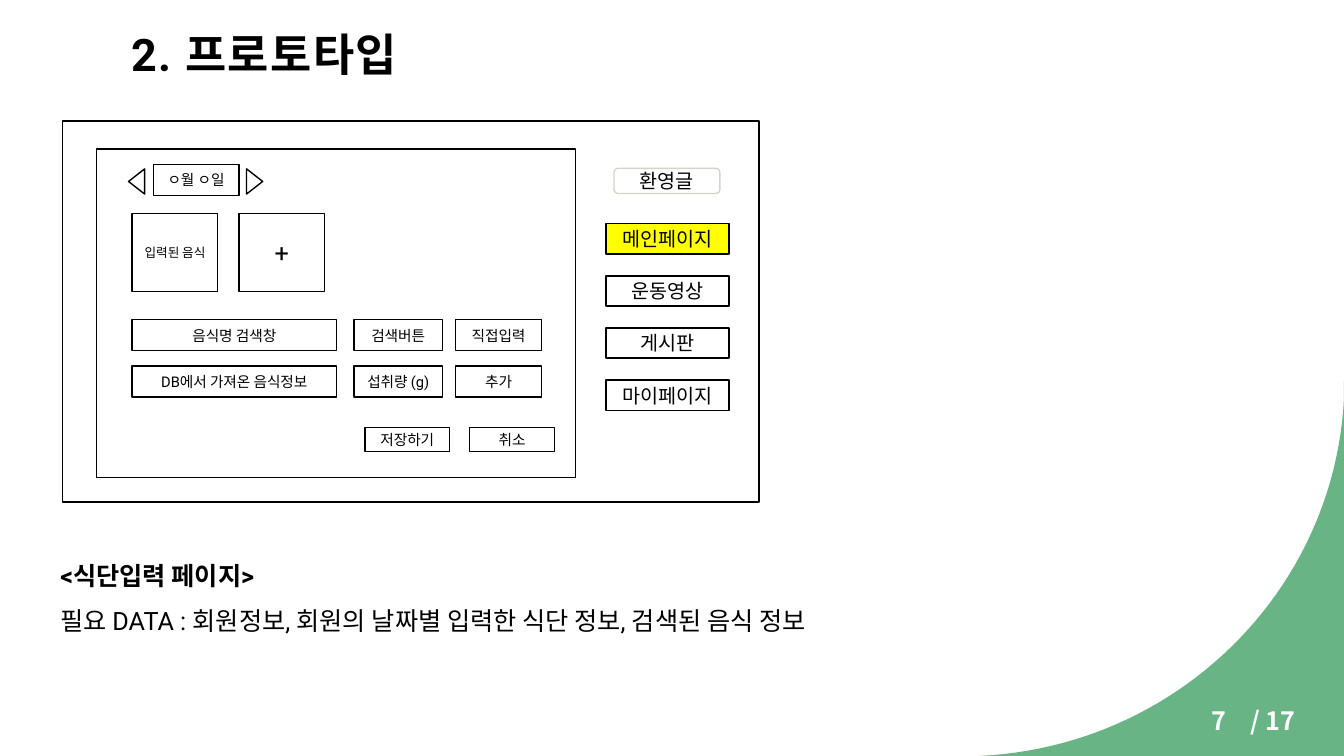
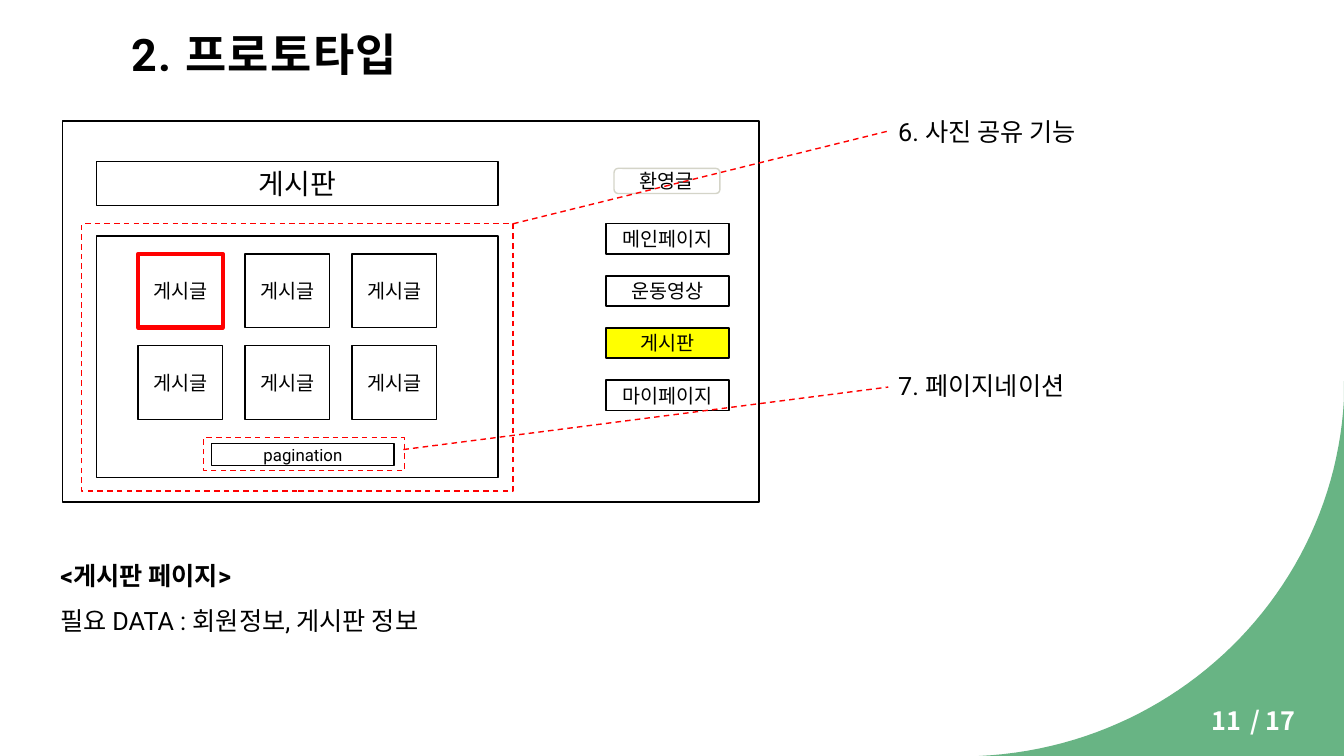
from dataclasses import dataclass

from lxml.etree import SubElement
from pptx import Presentation
from pptx.dml.color import RGBColor
from pptx.enum.dml import MSO_LINE
from pptx.enum.shapes import MSO_CONNECTOR, MSO_SHAPE
from pptx.enum.text import MSO_ANCHOR, MSO_AUTO_SIZE, PP_ALIGN
from pptx.oxml.ns import qn
from pptx.util import Inches, Pt


@dataclass(frozen=True)
class Theme:
    """Colours, fonts and type sizes of the deck."""
    black: RGBColor = RGBColor(0x00, 0x00, 0x00)
    white: RGBColor = RGBColor(0xFF, 0xFF, 0xFF)
    green: RGBColor = RGBColor(0x68, 0xB4, 0x84)
    yellow: RGBColor = RGBColor(0xFF, 0xFF, 0x00)
    red: RGBColor = RGBColor(0xFF, 0x00, 0x00)
    grey: RGBColor = RGBColor(0xD4, 0xD4, 0xC8)
    latin: str = "Roboto"
    korean: str = "Noto Sans CJK KR"
    title: float = 32
    heading: float = 20
    body: float = 18
    menu: float = 14
    label: float = 12
    field: float = 10.5
    small: float = 9


class Deck:
    """Holds the style and the current slide, and draws each kind of element."""

    MENU = ("메인페이지", "운동영상", "게시판", "마이페이지")

    def __init__(self, prs, theme):
        """Set the slide size and keep the theme."""
        self.prs, self.theme, self.s = prs, theme, None
        prs.slide_width, prs.slide_height = Inches(13.33), Inches(7.5)

    def new_slide(self, title, number):
        """Start a slide with its title, corner and page number."""
        t = self.theme
        self.s = self.prs.slides.add_slide(self.prs.slide_layouts[5])
        self.corner()
        self.text("/ 17", 12.3, 6.95, 1.03, bold=True, color=t.white, font=t.korean)
        self.text(str(number), 11.92, 6.95, 1.15, bold=True, color=t.white, font=t.korean)
        sp = self.s.shapes.title
        sp.left, sp.top, sp.width, sp.height = map(Inches, (1.18, 0.24, 10.88, 0.66))
        tf = sp.text_frame
        tf.auto_size, tf.vertical_anchor = MSO_AUTO_SIZE.NONE, MSO_ANCHOR.BOTTOM
        tf.margin_left = tf.margin_right = tf.margin_top = Inches(0.12)
        tf.margin_bottom = Inches(0.1)
        p = tf.paragraphs[0]
        p.text, p.alignment, p.line_spacing = title, PP_ALIGN.LEFT, 1.1
        self.style(p, t.title, bold=True).set("spc", "100")

    def corner(self):
        """Draw the green corner with its curved edge."""
        curve = ((9.71, 7.5), (11.67, 7.41), (13.23, 5.87), (13.33, 3.96))
        points = [(13.33, 7.5), (9.63, 7.5)]
        steps = 48
        for i in range(steps + 1):
            u = i / steps
            weights = ((1 - u) ** 3, 3 * u * (1 - u) ** 2, 3 * u * u * (1 - u), u ** 3)
            points.append([sum(w * c[k] for w, c in zip(weights, curve)) for k in (0, 1)])
        fb = self.s.shapes.build_freeform(Inches(13.33), Inches(3.78))
        fb.add_line_segments([(Inches(x), Inches(y)) for x, y in points])
        sp = fb.convert_to_shape()
        sp.shadow.inherit = False
        sp.fill.solid()
        sp.fill.fore_color.rgb = self.theme.green
        sp.line.fill.background()

    def style(self, p, size, bold=False, color=None, font=None):
        """Format a paragraph and return its character properties."""
        f = p.font
        f.size, f.bold, f.name = Pt(size), bold, font or self.theme.latin
        f.color.rgb = color or self.theme.black
        props = p._p.pPr.find(qn("a:defRPr"))
        SubElement(props, qn("a:ea")).set("typeface", self.theme.korean)
        return props

    def text(self, text, x, y, w, h=0.4, bold=False, color=None, font=None):
        """Add a one-line text box."""
        tf = self.s.shapes.add_textbox(*map(Inches, (x, y, w, h))).text_frame
        tf.word_wrap = True
        p = tf.paragraphs[0]
        p.text = text
        self.style(p, self.theme.body, bold, color, font)
        return tf

    def caption(self, heading, data):
        """Add the page name and the data it needs."""
        tf = self.text(heading, 0.5, 5.36, 9.18, 0.96, bold=True)
        p = tf.add_paragraph()
        p.text = data
        self.style(p, self.theme.body)
        for p in tf.paragraphs:
            p.line_spacing = 1.5

    def box(self, x, y, w, h, text="", size=None, font=None, fill=None,
            line=None, weight=1, shape=MSO_SHAPE.RECTANGLE, rotation=0):
        """Add an outlined shape with an optional centred label."""
        t = self.theme
        sp = self.s.shapes.add_shape(shape, *map(Inches, (x, y, w, h)))
        sp.shadow.inherit = False
        sp.rotation = rotation
        sp.fill.solid()
        sp.fill.fore_color.rgb = fill or t.white
        sp.line.color.rgb, sp.line.width = line or t.black, Pt(weight)
        if text:
            tf = sp.text_frame
            tf.word_wrap, tf.vertical_anchor = True, MSO_ANCHOR.MIDDLE
            tf.margin_left = tf.margin_right = 0
            p = tf.paragraphs[0]
            p.text, p.alignment = text, PP_ALIGN.CENTER
            self.style(p, size or t.field, font=font)
        return sp

    def outline(self, x, y, w, h):
        """Add a dashed red frame."""
        sp = self.box(x, y, w, h, line=self.theme.red)
        sp.fill.background()
        sp.line.dash_style = MSO_LINE.DASH

    def callout(self, text, start, end, text_top):
        """Add a dashed red line that leads to a note."""
        c = self.s.shapes.add_connector(MSO_CONNECTOR.STRAIGHT, *map(Inches, start + end))
        c.line.color.rgb, c.line.width = self.theme.red, Pt(1)
        c.line.dash_style = MSO_LINE.DASH
        SubElement(c._element.spPr, qn("a:effectLst"))
        self.text(text, end[0], text_top, 3.88)

    def screen(self, active):
        """Draw the screen frame and its menu with one entry marked."""
        t = self.theme
        self.box(0.62, 1.2, 6.91, 3.78)
        self.box(6.09, 1.67, 1.05, 0.25, "환영글", t.menu, t.korean, line=t.grey,
                 shape=MSO_SHAPE.ROUNDED_RECTANGLE)
        for i, name in enumerate(self.MENU):
            self.box(6.01, 2.22 + i * 0.517, 1.22, 0.3, name, t.menu, t.korean,
                     fill=t.yellow if name == active else t.white)


def meal_slide(d):
    """Build the meal entry page."""
    t = d.theme
    d.new_slide("2. 프로토타입", 7)
    d.screen("메인페이지")
    d.box(0.96, 1.48, 4.75, 3.26)
    d.box(1.52, 1.63, 0.85, 0.31, "ㅇ월 ㅇ일")
    for x, rotation in ((1.23, 270), (2.4, 90)):
        d.box(x, 1.72, 0.25, 0.16, shape=MSO_SHAPE.ISOSCELES_TRIANGLE, rotation=rotation)
    for x, text, size in ((1.31, "입력된 음식", t.small), (2.37, "+", t.body)):
        d.box(x, 2.12, 0.85, 0.77, text, size)
    columns = ((1.31, 2.03), (3.51, 0.88), (4.52, 0.85))
    rows = ((3.17, ("음식명 검색창", "검색버튼", "직접입력")),
            (3.63, ("DB에서 가져온 음식정보", "섭취량 (g)", "추가")))
    for y, labels in rows:
        for (x, w), label in zip(columns, labels):
            d.box(x, y, w, 0.31, label)
    for x, label in ((3.62, "저장하기"), (4.66, "취소")):
        d.box(x, 4.24, 0.84, 0.24, label)
    d.caption("<식단입력 페이지>",
              "필요 DATA : 회원정보, 회원의 날짜별 입력한 식단 정보, 검색된 음식 정보")


def board_slide(d):
    """Build the board page."""
    t = d.theme
    d.new_slide("2. 프로토타입", 11)
    d.screen("게시판")
    d.box(0.96, 1.6, 3.98, 0.44, "게시판", t.heading, t.korean)
    d.outline(0.81, 2.22, 4.28, 2.65)
    d.callout("6. 사진 공유 기능", (5.09, 2.22), (8.81, 1.3), 1.1)
    d.box(0.96, 2.34, 3.98, 2.4)
    d.box(2.1, 4.4, 1.81, 0.22, "pagination", t.label)
    d.outline(2.02, 4.34, 1.99, 0.33)
    d.callout("7. 페이지네이션", (4, 4.46), (8.81, 3.84), 3.62)
    for i in range(6):
        row, col = divmod(i, 3)
        marked = i == 0
        d.box(1.37 + col * 1.06, 2.52 + row * 0.91, 0.84, 0.73, "게시글", t.menu, t.korean,
              line=t.red if marked else t.black, weight=3 if marked else 1)
    d.caption("<게시판 페이지>", "필요 DATA : 회원정보, 게시판 정보")


def main():
    """Build and save the deck."""
    prs = Presentation()
    d = Deck(prs, Theme())
    meal_slide(d)
    board_slide(d)
    prs.save("out.pptx")


if __name__ == "__main__":
    main()
